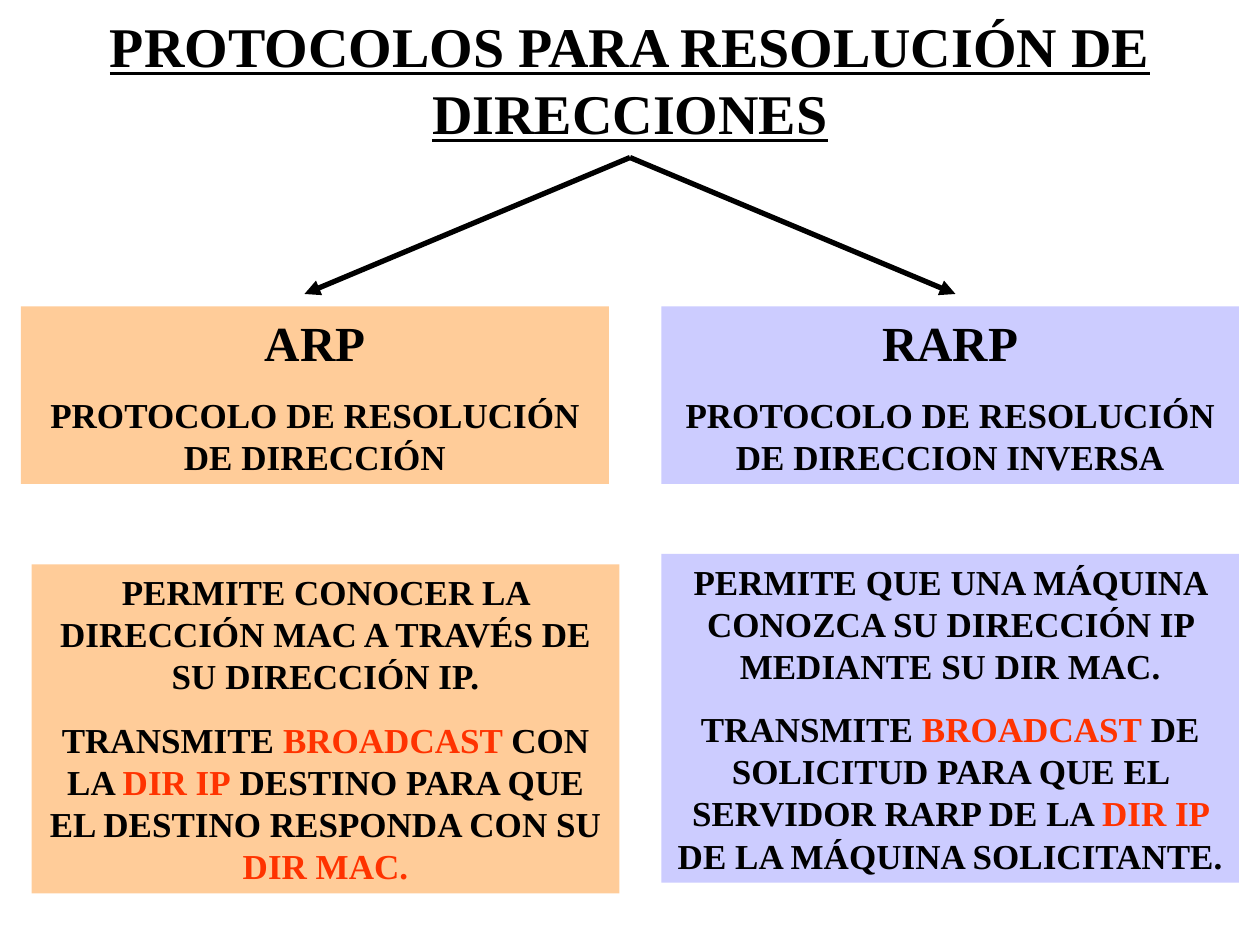
import dataclasses

import lxml.etree
import pptx
import pptx.dml.color
import pptx.enum.shapes
import pptx.enum.text
import pptx.oxml.ns
import pptx.util

Pt = pptx.util.Pt


@dataclasses.dataclass(frozen=True)
class Theme:
    font: str = "Times New Roman"
    ink: str = "000000"
    accent: str = "FF3300"
    orange: str = "FFCC99"
    lilac: str = "CCCCFF"
    title: int = 32
    heading: int = 28
    body: int = 20
    line: int = 3


def rgb(value):
    return pptx.dml.color.RGBColor.from_string(value)


def write(p, text, *, theme, size, underline=None, before=0):
    p.alignment = pptx.enum.text.PP_ALIGN.CENTER
    p.space_before = Pt(before)
    for i, part in enumerate(text.split("*")):
        if part:
            r = p.add_run()
            r.text = part
            r.font.name = theme.font
            r.font.size = Pt(size)
            r.font.bold = True
            r.font.underline = underline
            r.font.color.rgb = rgb(theme.accent if i % 2 else theme.ink)


class SlideBuilder:
    def __init__(self, slide, theme):
        self.s = slide
        self.theme = theme

    def title(self, text, x, y, w, h):
        tf = self.s.shapes.add_textbox(Pt(x), Pt(y), Pt(w), Pt(h)).text_frame
        tf.word_wrap = True
        tf.vertical_anchor = pptx.enum.text.MSO_ANCHOR.MIDDLE
        write(tf.paragraphs[0], text, theme=self.theme,
              size=self.theme.title, underline=True)

    def panel(self, paragraphs, x, y, w, h, fill):
        sp = self.s.shapes.add_shape(
            pptx.enum.shapes.MSO_SHAPE.RECTANGLE, Pt(x), Pt(y), Pt(w), Pt(h))
        sp.shadow.inherit = False
        sp.fill.solid()
        sp.fill.fore_color.rgb = rgb(fill)
        sp.line.fill.background()
        tf = sp.text_frame
        tf.word_wrap = True
        tf.vertical_anchor = pptx.enum.text.MSO_ANCHOR.TOP
        for i, (text, size) in enumerate(paragraphs):
            p = tf.add_paragraph() if i else tf.paragraphs[0]
            write(p, text, theme=self.theme, size=size,
                  before=12.5 if i else 0)

    def arrow(self, x1, y1, x2, y2):
        sp = self.s.shapes.add_connector(
            pptx.enum.shapes.MSO_CONNECTOR.STRAIGHT,
            Pt(x1), Pt(y1), Pt(x2), Pt(y2))
        sp.line.color.rgb = rgb(self.theme.ink)
        sp.line.width = Pt(self.theme.line)
        qn = pptx.oxml.ns.qn
        ln = sp.line._get_or_add_ln()
        lxml.etree.SubElement(ln, qn("a:tailEnd"), type="triangle")
        lxml.etree.SubElement(sp._element.spPr, qn("a:effectLst"))


def main():
    prs = pptx.Presentation()
    prs.slide_width, prs.slide_height = Pt(720), Pt(540)
    theme = Theme()
    slide = SlideBuilder(prs.slides.add_slide(prs.slide_layouts[6]), theme)

    slide.title("PROTOCOLOS PARA RESOLUCIÓN DE DIRECCIONES", 54, 0, 612, 90)

    protocols = [
        dict(name="ARP", meaning="PROTOCOLO DE RESOLUCIÓN DE DIRECCIÓN",
             purpose="PERMITE CONOCER LA DIRECCIÓN MAC A TRAVÉS DE SU "
                     "DIRECCIÓN IP.",
             method="TRANSMITE *BROADCAST *CON LA *DIR IP* DESTINO PARA QUE "
                    "EL DESTINO RESPONDA CON SU *DIR MAC.*",
             fill=theme.orange, x=12, detail_x=18, detail_y=322.5, w=336,
             tip=174),
        dict(name="RARP",
             meaning="PROTOCOLO DE RESOLUCIÓN DE DIRECCION INVERSA",
             purpose="PERMITE QUE UNA MÁQUINA CONOZCA SU DIRECCIÓN IP "
                     "MEDIANTE SU DIR MAC.",
             method="TRANSMITE *BROADCAST* DE SOLICITUD PARA QUE EL SERVIDOR "
                    "RARP DE LA *DIR IP *DE LA MÁQUINA SOLICITANTE.",
             fill=theme.lilac, x=378, detail_x=378, detail_y=316.5, w=330,
             tip=546),
    ]
    for item in protocols:
        slide.panel([(item["name"], theme.heading),
                     (item["meaning"], theme.body)],
                    item["x"], 175, item["w"], 101.5, item["fill"])
        slide.panel([(item["purpose"], theme.body),
                     (item["method"], theme.body)],
                    item["detail_x"], item["detail_y"], item["w"], 188,
                    item["fill"])
        slide.arrow(360, 90, item["tip"], 168)

    prs.save("out.pptx")


if __name__ == "__main__":
    main()
